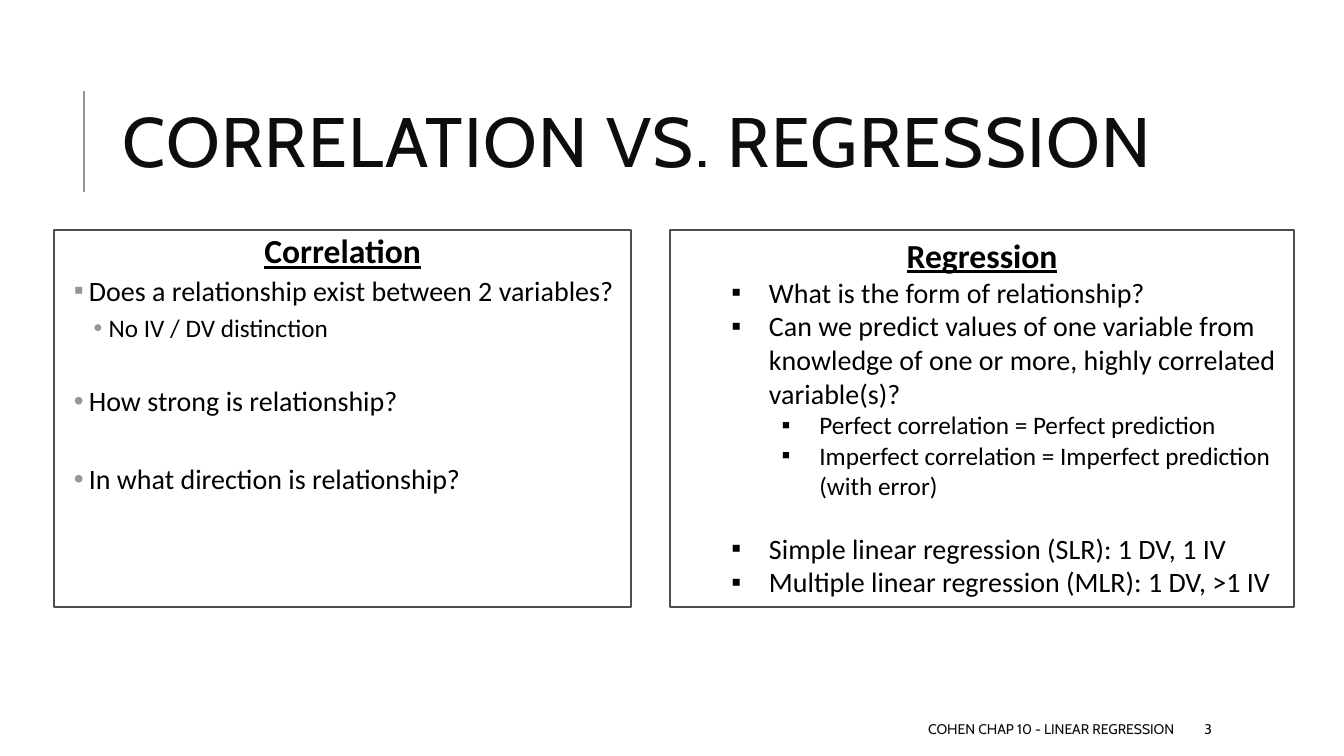
from lxml.etree import SubElement
from pptx import Presentation
from pptx.dml.color import RGBColor
from pptx.enum.shapes import MSO_CONNECTOR, MSO_SHAPE
from pptx.enum.text import MSO_ANCHOR, MSO_AUTO_SIZE, PP_ALIGN
from pptx.oxml.ns import qn
from pptx.util import Cm, Pt

INK, BLACK, GREY, BORDER, WHITE = "0D0D0D", "000000", "969696", "4D4D4D", "FFFFFF"
HEAD_FONT, BODY_FONT = "Cabin", "Calibri"
PANEL_TOP, PANEL_HEIGHT = 5.79, 9.5
FOOTER_TOP, FOOTER_HEIGHT = 17.98, 0.76

# Each point: text, level, bullet, space before in points
CORRELATION_POINTS = [
    ("Does a relationship exist between 2 variables?", 1, "▪", 2),
    ("No IV / DV distinction", 2, "•", 2),
    ("How strong is relationship?", 1, "•", 28),
    ("In what direction is relationship?", 1, "•", 30),
]
REGRESSION_POINTS = [
    ("What is the form of relationship?", 1, "▪", 0),
    ("Can we predict values of one variable from knowledge of one or more, "
     "highly correlated variable(s)?", 1, "▪", 0),
    ("Perfect correlation = Perfect prediction", 2, "▪", 0),
    ("Imperfect correlation = Imperfect prediction (with error)", 2, "▪", 0),
    ("Simple linear regression (SLR): 1 DV, 1 IV", 1, "▪", 22),
    ("Multiple linear regression (MLR): 1 DV, >1 IV", 1, "▪", 0),
]


def color(value):
    return RGBColor.from_string(value)


def write(para, text, *, size, font=BODY_FONT, ink=BLACK, bold=False, underline=False,
          align=PP_ALIGN.LEFT, line=1.0, before=0, after=0, tracking=None):
    """Format the paragraph and add one span of text to it."""
    para.alignment = align
    para.line_spacing = line
    para.space_before, para.space_after = Pt(before), Pt(after)
    span = para.add_run()
    span.text = text
    span.font.name, span.font.size = font, Pt(size)
    span.font.bold, span.font.underline = bold, underline
    span.font.color.rgb = color(ink)
    if tracking:
        span.font._element.set("spc", str(tracking * 100))


def add_bullet(para, symbol, ink, left, hanging):
    props = para._p.get_or_add_pPr()
    props.set("marL", str(Cm(left)))
    props.set("indent", str(-Cm(hanging)))
    tint = SubElement(props, qn("a:buClr"))
    SubElement(tint, qn("a:srgbClr")).set("val", ink)
    SubElement(props, qn("a:buFont")).set("typeface", "Arial")
    SubElement(props, qn("a:buChar")).set("char", symbol)


def add_title(page, text):
    title = page.shapes.title
    title.left, title.top, title.width, title.height = Cm(2.84), Cm(1.63), Cm(27), Cm(4.17)
    frame = title.text_frame
    frame.auto_size = MSO_AUTO_SIZE.NONE
    frame.vertical_anchor = MSO_ANCHOR.MIDDLE
    write(frame.paragraphs[0], text, size=50, font=HEAD_FONT, ink=INK, line=0.8, tracking=1)


def add_title_rule(page):
    rule = page.shapes.add_connector(MSO_CONNECTOR.STRAIGHT, Cm(2.11), Cm(4.83), Cm(2.11), Cm(2.29))
    rule.line.color.rgb = color(GREY)
    rule.line.width = Pt(1.5)
    SubElement(rule._element.spPr, qn("a:effectLst"))


def add_panel(page, left, width, heading, points, *, inset, indents, hanging,
              bullet_ink, line=1.0, after=0):
    """Add a bordered box with a centred heading and a bulleted list."""
    box = page.shapes.add_shape(MSO_SHAPE.RECTANGLE, Cm(left), Cm(PANEL_TOP),
                                Cm(width), Cm(PANEL_HEIGHT))
    box.shadow.inherit = False
    box.fill.solid()
    box.fill.fore_color.rgb = color(WHITE)
    box.line.color.rgb = color(BORDER)
    box.line.width = Pt(1.25)
    frame = box.text_frame
    frame.word_wrap = True
    frame.vertical_anchor = MSO_ANCHOR.TOP
    frame.margin_left = frame.margin_right = Cm(inset)
    frame.margin_top = frame.margin_bottom = Cm(0.13)
    write(frame.paragraphs[0], heading, size=24, bold=True, underline=True,
          align=PP_ALIGN.CENTER, line=line, after=after and 2)
    for text, level, symbol, before in points:
        para = frame.add_paragraph()
        para.level = level
        write(para, text, size=22 - 2 * level, line=line, before=before, after=after)
        add_bullet(para, symbol, bullet_ink, indents[level - 1], hanging)


def add_footer(page, left, width, text, align):
    box = page.shapes.add_textbox(Cm(left), Cm(FOOTER_TOP), Cm(width), Cm(FOOTER_HEIGHT))
    frame = box.text_frame
    frame.word_wrap = True
    frame.vertical_anchor = MSO_ANCHOR.MIDDLE
    write(frame.paragraphs[0], text, size=10, font=HEAD_FONT, ink=INK, align=align)


def main():
    deck = Presentation()
    deck.slide_width, deck.slide_height = Cm(33.87), Cm(19.05)
    page = deck.slides.add_slide(deck.slide_layouts[5])
    add_title_rule(page)
    add_title(page, "CORRELATION VS. REGRESSION")
    add_panel(page, 1.37, 14.53, "Correlation", CORRELATION_POINTS, inset=0.13,
              indents=(0.74, 1.24), hanging=0.38, bullet_ink=GREY, line=0.9, after=4)
    add_panel(page, 16.89, 15.72, "Regression", REGRESSION_POINTS, inset=0.25,
              indents=(2.24, 3.51), hanging=0.95, bullet_ink=BLACK)
    add_footer(page, 13.46, 16.38, "COHEN CHAP 10 - LINEAR REGRESSION", PP_ALIGN.RIGHT)
    add_footer(page, 30.1, 2.69, "3", PP_ALIGN.LEFT)
    deck.save("out.pptx")


if __name__ == "__main__":
    main()
